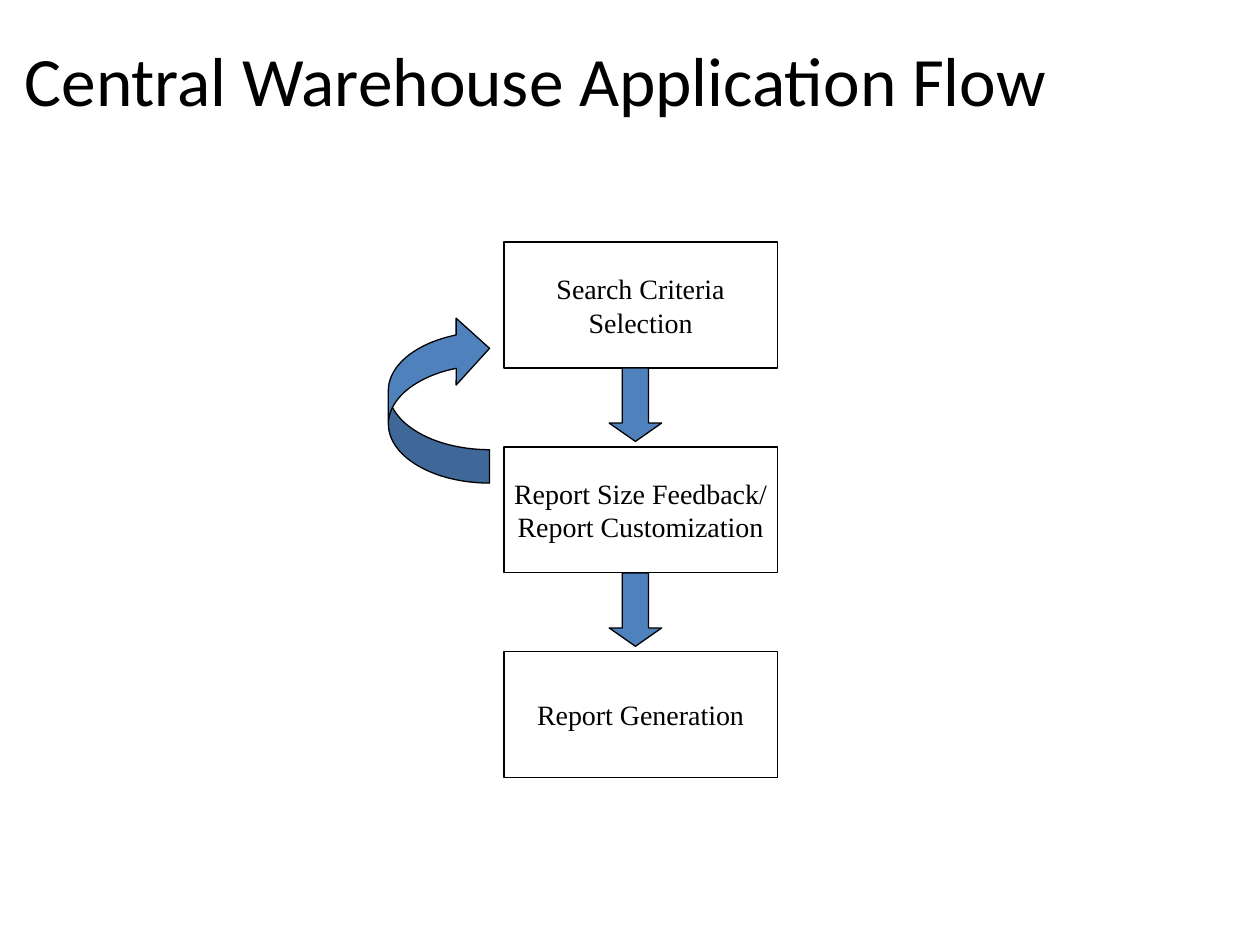
from pptx import Presentation
from pptx.dml.color import RGBColor
from pptx.enum.shapes import MSO_SHAPE
from pptx.enum.text import MSO_ANCHOR, PP_ALIGN
from pptx.oxml.ns import qn
from pptx.util import Cm, Pt

BLACK = RGBColor(0x00, 0x00, 0x00)
BLUE = RGBColor(0x4F, 0x81, 0xBD)

STEPS = [
    "Search Criteria\nSelection",
    "Report Size Feedback/\nReport Customization",
    "Report Generation",
]
BOX_LEFT, BOX_TOP, BOX_WIDTH, BOX_HEIGHT = 10.16, 4.88, 5.51, 2.54
STEP_PITCH = 4.13


def write_text(frame, text, font="Times New Roman", size=16, color=BLACK, wrap=False):
    """Fill a text frame with centred paragraphs, one for each line of text."""
    frame.word_wrap = wrap
    frame.vertical_anchor = MSO_ANCHOR.MIDDLE
    for index, line in enumerate(text.split("\n")):
        para = frame.paragraphs[0] if index == 0 else frame.add_paragraph()
        para.alignment = PP_ALIGN.CENTER
        span = para.add_run()
        span.text = line
        span.font.name = font
        span.font.size = Pt(size)
        span.font.color.rgb = color


class FlowPage:
    """Hold the outline style and the current slide of a flow chart."""

    def __init__(self, page, line_color=BLACK, line_width=0.75):
        self.page = page
        self.line_color = line_color
        self.line_width = Pt(line_width)

    def title(self, text, left, top, width, height):
        box = self.page.shapes.add_textbox(Cm(left), Cm(top), Cm(width), Cm(height))
        write_text(box.text_frame, text, font="Calibri", size=39.6, wrap=True)

    def shape(self, kind, left, top, width, height, fill=None):
        shape = self.page.shapes.add_shape(kind, Cm(left), Cm(top), Cm(width), Cm(height))
        shape.shadow.inherit = False
        shape.line.color.rgb = self.line_color
        shape.line.width = self.line_width
        if fill is None:
            shape.fill.background()
        else:
            shape.fill.solid()
            shape.fill.fore_color.rgb = fill
        return shape

    def step(self, text, left, top, width, height):
        box = self.shape(MSO_SHAPE.RECTANGLE, left, top, width, height)
        write_text(box.text_frame, text)

    def arrow(self, kind, left, top, width, height, adjustments, flip=False):
        arrow = self.shape(kind, left, top, width, height, fill=BLUE)
        for index, value in enumerate(adjustments):
            arrow.adjustments[index] = value
        if flip:
            arrow._element.spPr.find(qn("a:xfrm")).set("flipV", "1")


def main():
    deck = Presentation()
    deck.slide_width, deck.slide_height = Cm(25.4), Cm(19.05)
    flow = FlowPage(deck.slides.add_slide(deck.slide_layouts[6]))

    flow.title("Central Warehouse Application Flow", 0, 0, 21.59, 3.18)
    tops = [BOX_TOP + index * STEP_PITCH for index in range(len(STEPS))]
    for text, top in zip(STEPS, tops):
        flow.step(text, BOX_LEFT, top, BOX_WIDTH, BOX_HEIGHT)
    flow.arrow(MSO_SHAPE.CURVED_RIGHT_ARROW, 7.83, 6.35, 2.04, 3.39,
               (0.33, 0.66, 0.33), flip=True)
    for top in tops[:-1]:
        flow.arrow(MSO_SHAPE.DOWN_ARROW, 12.28, top + BOX_HEIGHT, 1.06, 1.48, (0.5, 0.35))

    deck.save("out.pptx")


if __name__ == "__main__":
    main()
